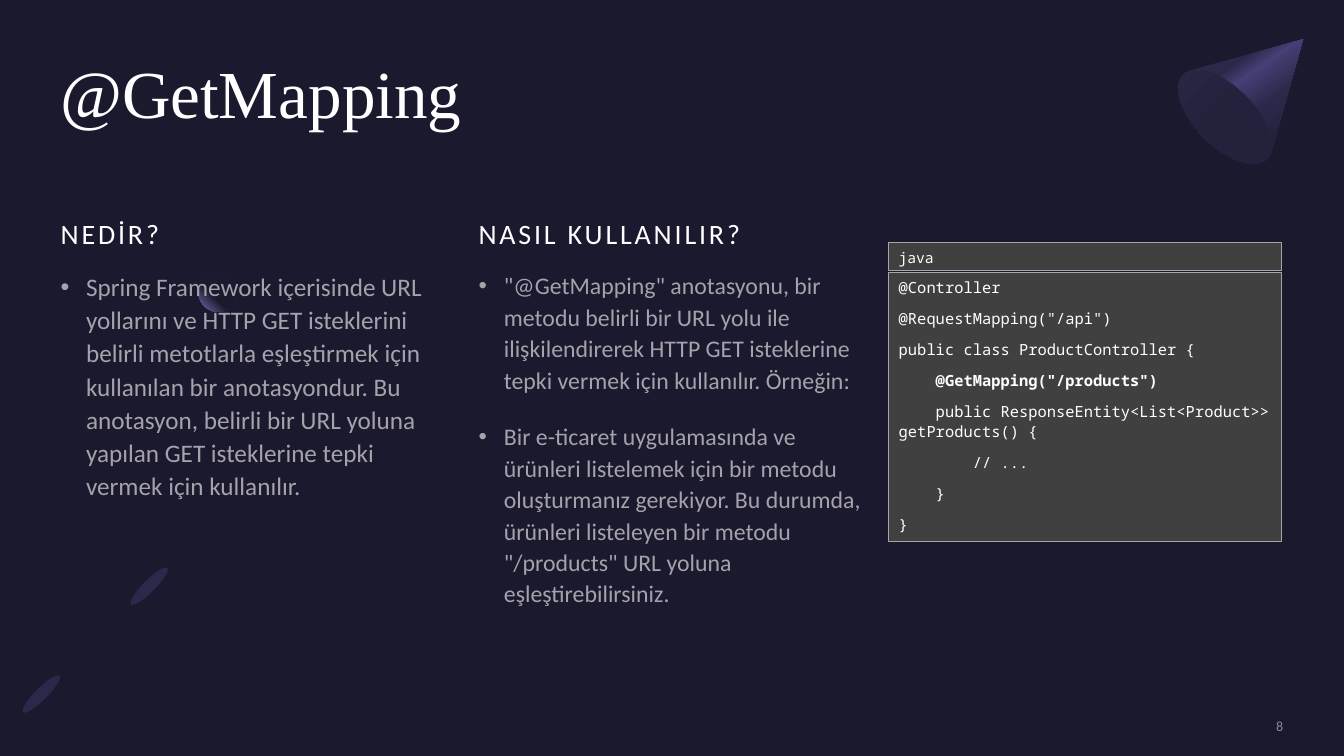
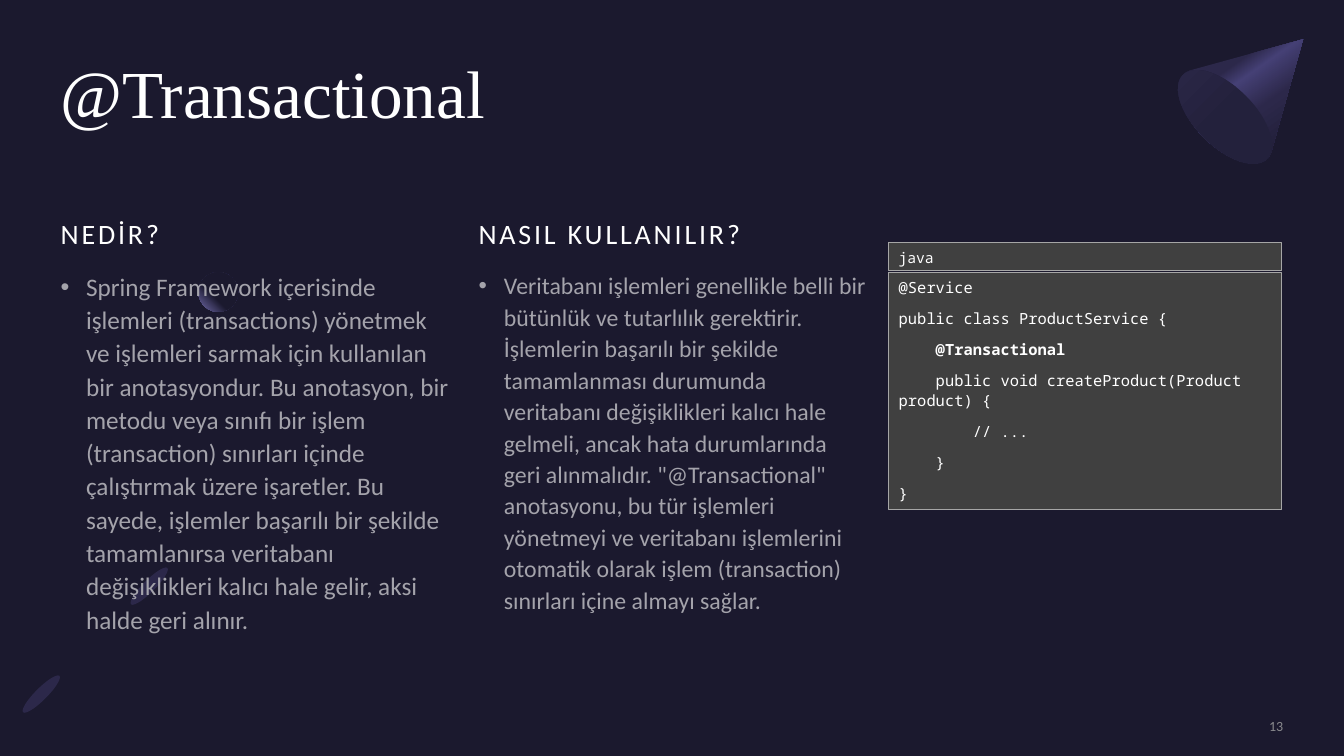
from dataclasses import dataclass
from lxml.etree import SubElement
from pptx import Presentation
from pptx.dml.color import RGBColor
from pptx.enum.shapes import MSO_SHAPE
from pptx.enum.text import MSO_ANCHOR, PP_ALIGN
from pptx.oxml import parse_xml
from pptx.oxml.ns import nsdecls, qn
from pptx.util import Cm, Pt


@dataclass(frozen=True)
class Style:
    face: str
    size: float
    color: str
    line: float = 1.0
    before: float = 0
    after: float = 0
    track: int = 0
    bullet: bool = False


class Theme:
    night = "1B192E"
    petal = "2C284A"
    glow = "7771B2"
    bright = "454075"
    mouth = "23213C"
    panel = "404040"
    edge = "A6A6A6"
    title = Style("Times New Roman", 48, "FFFFFF", 0.9)
    head = Style("Calibri", 20, "FFFFFF", 1.1, track=200)
    left = Style("Calibri", 18, "A4A3AB", 1.1, 10, 8, bullet=True)
    right = Style("Calibri", 17, "A4A3AB", 1.1, 10, 8, bullet=True)
    page = Style("Calibri", 10, "8A8A8E")
    label = Style("Noto Sans Mono", 10.5, "FFFFFF", 1.07)
    code = Style("Noto Sans Mono", 11, "FFFFFF", 1.07, 0, 8)


def write(shape, lines, style, anchor=MSO_ANCHOR.TOP, align=PP_ALIGN.LEFT, inset=0, strong=None):
    frame = shape.text_frame
    frame.word_wrap = True
    frame.vertical_anchor = anchor
    frame.margin_left = frame.margin_right = Cm(inset)
    frame.margin_top = frame.margin_bottom = Cm(inset / 2)
    for i, line in enumerate(lines):
        para = frame.add_paragraph() if i else frame.paragraphs[0]
        para.text = line
        para.alignment = align
        para.line_spacing = style.line
        para.space_before = Pt(style.before if i else 0)
        para.space_after = Pt(style.after)
        props = para._p.get_or_add_pPr()
        if style.bullet:
            props.set("marL", str(Cm(0.64)))
            props.set("indent", str(-Cm(0.64)))
            SubElement(props, qn("a:buFont")).set("typeface", "Arial")
            SubElement(props, qn("a:buChar")).set("char", "•")
        font = para.font
        font.name = style.face
        font.size = Pt(style.size)
        font.color.rgb = RGBColor.from_string(style.color)
        font.bold = strong is not None and strong in line
        if style.track:
            props.find(qn("a:defRPr")).set("spc", str(style.track))


def paint(shape, stops, way=""):
    shape.shadow.inherit = False
    shape.line.fill.background()
    if not way:
        shape.fill.solid()
        shape.fill.fore_color.rgb = RGBColor.from_string(stops)
        return
    shape.fill.background()
    marks = "".join(
        f'<a:gs pos="{at * 1000}"><a:srgbClr val="{color}"/></a:gs>' for at, color in stops
    )
    props = shape._element.spPr
    props.replace(props.find(qn("a:noFill")), parse_xml(
        f'<a:gradFill {nsdecls("a")} rotWithShape="1"><a:gsLst>{marks}</a:gsLst>{way}</a:gradFill>'
    ))


ring = [
    (4.24, 17.96), (5.26, 16.94, 5.11, 15.16, 3.91, 14), (3.02, 14.91),
    (3.61, 15.49, 3.68, 16.38, 3.18, 16.89), (2.67, 17.4, 1.78, 17.32, 1.19, 16.71),
    (0.28, 17.63), (1.47, 18.82, 3.25, 18.97, 4.24, 17.96),
]
cone = [
    (32.84, 0.99), (32.03, 3.86), (32, 3.91, 31.98, 3.96, 31.95, 3.99),
    (31.65, 4.29, 30.94, 4.06, 30.35, 3.48), (29.77, 2.9, 29.54, 2.18, 29.82, 1.88),
    (29.87, 1.85, 29.9, 1.8, 29.95, 1.8), (29.97, 1.78),
]
outlines = []
for path in (ring, cone):
    points = [path[0]]
    for step in path[1:]:
        if len(step) == 2:
            points.append(step)
            continue
        nodes = [points[-1], step[:2], step[2:4], step[4:]]
        for t in (n / 12 for n in range(1, 13)):
            weights = ((1 - t) ** 3, 3 * t * (1 - t) ** 2, 3 * t * t * (1 - t), t ** 3)
            points.append(tuple(sum(w * p[k] for w, p in zip(weights, nodes)) for k in (0, 1)))
    outlines.append([(Cm(x), Cm(y)) for x, y in points])

pages = [
    (
        8, "@GetMapping",
        ["Spring Framework içerisinde URL yollarını ve HTTP GET isteklerini belirli metotlarla "
         "eşleştirmek için kullanılan bir anotasyondur. Bu anotasyon, belirli bir URL yoluna "
         "yapılan GET isteklerine tepki vermek için kullanılır."],
        ['"@GetMapping" anotasyonu, bir metodu belirli bir URL yolu ile ilişkilendirerek HTTP GET '
         "isteklerine tepki vermek için kullanılır. Örneğin:",
         "Bir e-ticaret uygulamasında ve ürünleri listelemek için bir metodu oluşturmanız "
         "gerekiyor. Bu durumda, ürünleri listeleyen bir metodu \"/products\" URL yoluna "
         "eşleştirebilirsiniz."],
        ["@Controller", '@RequestMapping("/api")', "public class ProductController {",
         '    @GetMapping("/products")',
         "    public ResponseEntity<List<Product>> getProducts() {",
         "        // ...", "    }", "}"],
    ),
    (
        13, "@Transactional",
        ["Spring Framework içerisinde işlemleri (transactions) yönetmek ve işlemleri sarmak için "
         "kullanılan bir anotasyondur. Bu anotasyon, bir metodu veya sınıfı bir işlem "
         "(transaction) sınırları içinde çalıştırmak üzere işaretler. Bu sayede, işlemler "
         "başarılı bir şekilde tamamlanırsa veritabanı değişiklikleri kalıcı hale gelir, aksi "
         "halde geri alınır."],
        ["Veritabanı işlemleri genellikle belli bir bütünlük ve tutarlılık gerektirir. İşlemlerin "
         "başarılı bir şekilde tamamlanması durumunda veritabanı değişiklikleri kalıcı hale "
         "gelmeli, ancak hata durumlarında geri alınmalıdır. \"@Transactional\" anotasyonu, bu "
         "tür işlemleri yönetmeyi ve veritabanı işlemlerini otomatik olarak işlem (transaction) "
         "sınırları içine almayı sağlar."],
        ["@Service", "public class ProductService {", "    @Transactional",
         "    public void createProduct(Product product) {",
         "        // ...", "    }", "}"],
    ),
]

deck = Presentation()
deck.slide_width, deck.slide_height = Cm(33.87), Cm(19.05)
back = deck.slide_master.background.fill
back.solid()
back.fore_color.rgb = RGBColor.from_string(Theme.night)

for number, title, what, usage, code in pages:
    shapes = deck.slides.add_slide(deck.slide_layouts[6]).shapes

    arc, horn = [
        shapes.build_freeform(*points[0]).add_line_segments(points[1:]).convert_to_shape()
        for points in outlines
    ]
    paint(arc, Theme.glow)
    props = arc._element.spPr
    tint = props.find(qn("a:solidFill")).find(qn("a:srgbClr"))
    SubElement(tint, qn("a:alpha")).set("val", "40000")
    SubElement(props.find(qn("a:effectLst")), qn("a:softEdge")).set("rad", str(Cm(0.9)))
    paint(
        horn,
        [(30, Theme.petal), (40, Theme.bright), (60, Theme.petal), (100, Theme.night)],
        '<a:lin ang="3300000" scaled="0"/>',
    )

    for x, y in ((3.61, 14.12), (0.89, 16.84)):
        petal = shapes.add_shape(MSO_SHAPE.OVAL, Cm(x), Cm(y), Cm(0.3), Cm(1.3))
        petal.rotation = 45
        paint(petal, Theme.petal)

    mouth = shapes.add_shape(MSO_SHAPE.OVAL, Cm(30.12), Cm(1.45), Cm(1.5), Cm(3))
    mouth.rotation = 135
    paint(mouth, [(50, Theme.mouth), (100, Theme.petal)], '<a:lin ang="5400000" scaled="0"/>')
    moon = shapes.add_shape(MSO_SHAPE.OVAL, Cm(5), Cm(6.86), Cm(1), Cm(1))
    paint(
        moon, [(60, Theme.night), (100, Theme.glow)],
        '<a:path path="circle"><a:fillToRect l="100000" b="100000"/></a:path>',
    )

    write(shapes.add_textbox(Cm(1.52), Cm(1.52), Cm(30.84), Cm(3.71)), [title], Theme.title)
    for x, head, body, style in (
        (1.53, "NEDİR?", what, Theme.left),
        (12.06, "NASIL KULLANILIR?", usage, Theme.right),
    ):
        top = shapes.add_textbox(Cm(x), Cm(4.8), Cm(9.9), Cm(1.5))
        write(top, [head], Theme.head, MSO_ANCHOR.BOTTOM)
        write(shapes.add_textbox(Cm(x), Cm(6.76), Cm(9.8), Cm(9.75)), body, style)

    foot = shapes.add_textbox(Cm(27.64), Cm(18.08), Cm(4.7), Cm(0.43))
    write(foot, [str(number)], Theme.page, MSO_ANCHOR.MIDDLE, PP_ALIGN.RIGHT)

    for y, height, lines, style in (
        (6.86, 0.46 + 0.79 * len(code), code, Theme.code),
        (6.12, 0.71, ["java"], Theme.label),
    ):
        panel = shapes.add_shape(MSO_SHAPE.RECTANGLE, Cm(22.4), Cm(y), Cm(9.9), Cm(height))
        paint(panel, Theme.panel)
        panel.line.color.rgb = RGBColor.from_string(Theme.edge)
        panel.line.width = Pt(0.75)
        write(panel, lines, style, inset=0.25, strong=title)

deck.save("out.pptx")
